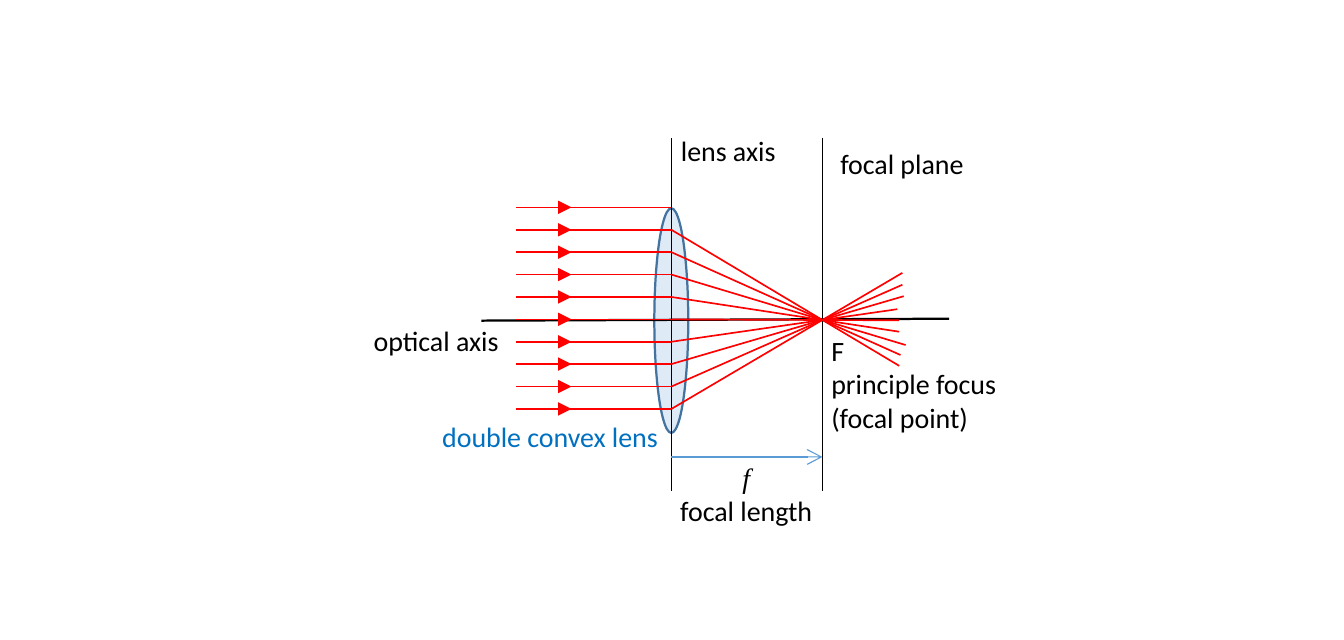
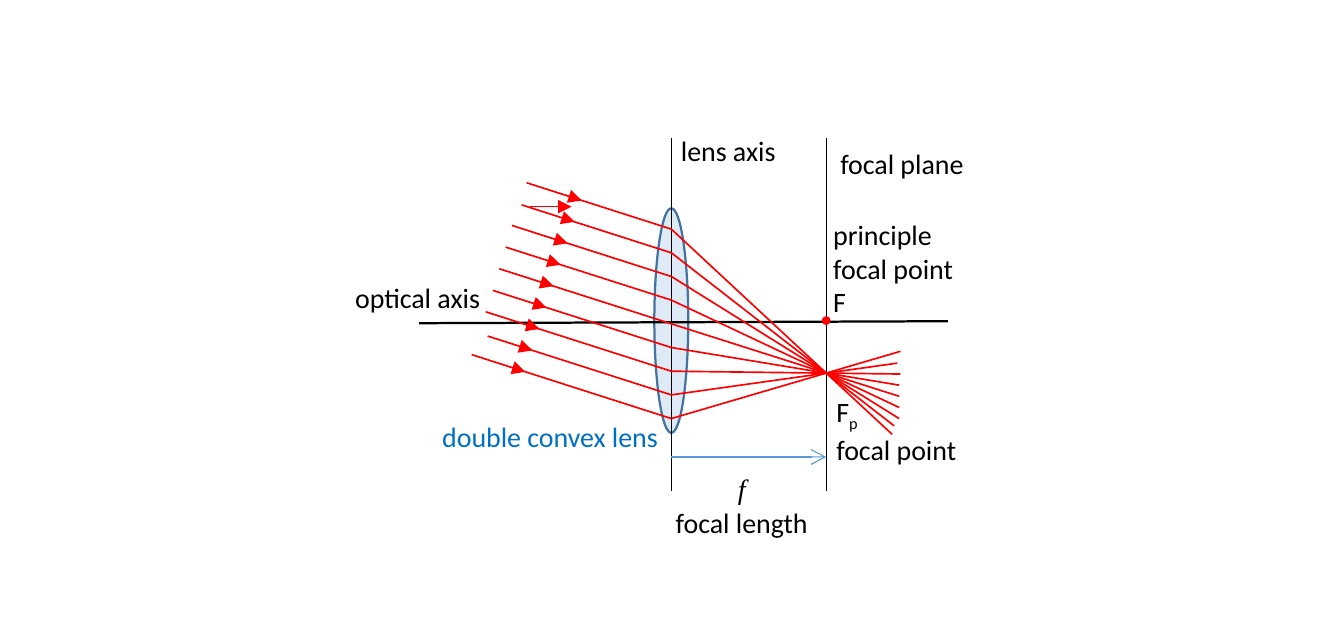
from dataclasses import dataclass

from lxml.etree import SubElement
from pptx import Presentation
from pptx.dml.color import RGBColor
from pptx.enum.shapes import MSO_CONNECTOR, MSO_SHAPE
from pptx.enum.text import PP_ALIGN
from pptx.oxml.ns import qn
from pptx.util import Cm, Pt


@dataclass(frozen=True)
class Theme:
    """Colours, fonts and sizes that both slides share."""
    ink: str = "000000"
    ray: str = "FF0000"
    glass: str = "DEEBF7"
    rim: str = "43739E"
    blue: str = "0070C0"
    span: str = "5B9BD5"
    sans: str = "Calibri"
    serif: str = "Times New Roman"
    size: float = 12.4
    bold: float = 1
    mid: float = 0.75
    thin: float = 0.5
    hair: float = 0.25


THEME = Theme()
AXIS = 10.49
LENS = {"y": 5.01, "wide": 0.53, "high": 3.51}


def line(slide, start, end, color, width, tip=None):
    """Draw a straight line, with an arrowhead at its end if asked."""
    points = [Cm(value) for value in (*start, *end)]
    link = slide.shapes.add_connector(MSO_CONNECTOR.STRAIGHT, *points)
    link.line.color.rgb = RGBColor.from_string(color)
    link.line.width = Pt(width)
    if tip:
        SubElement(link.line._get_or_add_ln(), qn("a:tailEnd"), type=tip)
    SubElement(link._element.spPr, qn("a:effectLst"))


def oval(slide, x, y, wide, high, fill, edge):
    """Draw an ellipse around a centre."""
    shape = slide.shapes.add_shape(
        MSO_SHAPE.OVAL, Cm(x - wide / 2), Cm(y - high / 2), Cm(wide), Cm(high))
    shape.shadow.inherit = False
    shape.fill.solid()
    shape.fill.fore_color.rgb = RGBColor.from_string(fill)
    shape.line.color.rgb = RGBColor.from_string(edge)
    shape.line.width = Pt(THEME.bold)


def label(slide, x, y, rows, wide=2.7, color=THEME.ink, align=PP_ALIGN.LEFT):
    """Write rows of text; each row is a list of (text, style) runs."""
    box = slide.shapes.add_textbox(Cm(x), Cm(y), Cm(wide), Cm(0.54 * len(rows)))
    frame = box.text_frame
    margins = dict.fromkeys(("left", "top", "right", "bottom"), 0)
    for side, value in margins.items():
        setattr(frame, f"margin_{side}", value)
    frame.word_wrap = True
    for index, row in enumerate(rows):
        para = frame.add_paragraph() if index else frame.paragraphs[0]
        para.alignment = align
        for text, style in row:
            run = para.add_run()
            run.text = text
            look = {"name": THEME.sans, "size": Pt(THEME.size), **style}
            base = look.pop("base", None)
            for name, value in look.items():
                setattr(run.font, name, value)
            run.font.color.rgb = RGBColor.from_string(color)
            if base:
                run._r.get_or_add_rPr().set("baseline", str(base))


def plain(*texts):
    """Turn texts into rows of one unstyled run each."""
    return [[(text, {})] for text in texts]


def arrow(slide, tip, slope, run=0.65):
    """Mark a ray's direction with a short arrow ending at a tip."""
    x, y = tip
    line(slide, (x - run, y - slope * run), tip, THEME.ray, THEME.hair, "triangle")


def beam(slide, focus, top, step, slope, tip, shift, rays):
    """Draw parallel rays, given as (start, end) x, bent through the focus."""
    fx, fy = focus
    for index, (start, end) in enumerate(rays):
        y = top + step * index
        line(slide, (start, y - slope * (AXIS - start)), (AXIS, y),
             THEME.ray, THEME.mid)
        if end:
            rise = (fy - y) / (fx - AXIS)
            line(slide, (AXIS, y), (end, y + rise * (end - AXIS)),
                 THEME.ray, THEME.mid)
        x = tip - shift * index
        arrow(slide, (x, y - slope * (AXIS - x)), slope)


def bench(slide, plane, axis, name, length):
    """Draw the lens, its axes, the focal plane and their labels."""
    oval(slide, AXIS, LENS["y"], LENS["wide"], LENS["high"], THEME.glass, THEME.rim)
    line(slide, *axis, THEME.ink, THEME.bold)
    for x in (AXIS, plane):
        line(slide, (x, 2.16), (x, 7.67), THEME.ink, THEME.thin)
    line(slide, (AXIS, 7.14), (plane, 7.14), THEME.span, THEME.thin, "arrow")
    label(slide, *name, plain("optical axis"))
    label(slide, 10.64, 2.08, plain("lens axis"), 2)
    label(slide, 13.13, 2.29, plain("focal plane"))
    label(slide, 6.91, 6.55, plain("double convex lens"), 3.6, THEME.blue)
    sign = [("f", {"name": THEME.serif, "italic": True})]
    label(slide, *length, [sign, *plain("focal length")], align=PP_ALIGN.CENTER)


def level(slide):
    """Show rays that run along the optical axis."""
    bench(slide, 12.85, ((7.52, 5.01), (14.83, 4.98)), (5.84, 5.05), (10.31, 7.19))
    ends = (None, 14.05, 14.07, 14.15, 14.05, 14.05, 14.02, 14.12, 14.1, 14.1)
    beam(slide, (12.85, 5), 3.24, 0.35, 0, 8.93, 0, [(8.06, end) for end in ends])
    label(slide, 12.99, 5.21, plain("F", "principle focus", "(focal point)"), 3)


def tilted(slide):
    """Show rays that cross the optical axis at an angle."""
    bench(slide, 12.91, ((6.55, 5.05), (14.81, 5.02)), (5.55, 4.39), (10.24, 7.37))
    rays = ((8.23, 13.94), (8.15, 13.97), (8, 14.05), (7.9, 14.05), (7.8, 14.05),
            (7.7, 14.05), (7.59, 14.07), (7.62, 14.02), (7.37, 14.07))
    beam(slide, (12.91, 5.83), 3.58, 0.37, 0.32, 9.09, 0.11, rays)
    arrow(slide, (8.93, 3.23), 0)
    oval(slide, 12.91, 5.01, 0.1, 0.1, THEME.ray, THEME.ray)
    label(slide, 13.02, 3.4, plain("principle", "focal point", "F"))
    spot = [("F", {}), ("p", {"base": -25000})]
    label(slide, 13.07, 6.17, [spot, *plain("focal point")])


def main():
    """Build and save the two slides."""
    deck = Presentation()
    deck.slide_width, deck.slide_height = Cm(21), Cm(10)
    for draw in (level, tilted):
        draw(deck.slides.add_slide(deck.slide_layouts[6]))
    deck.save("out.pptx")


if __name__ == "__main__":
    main()
